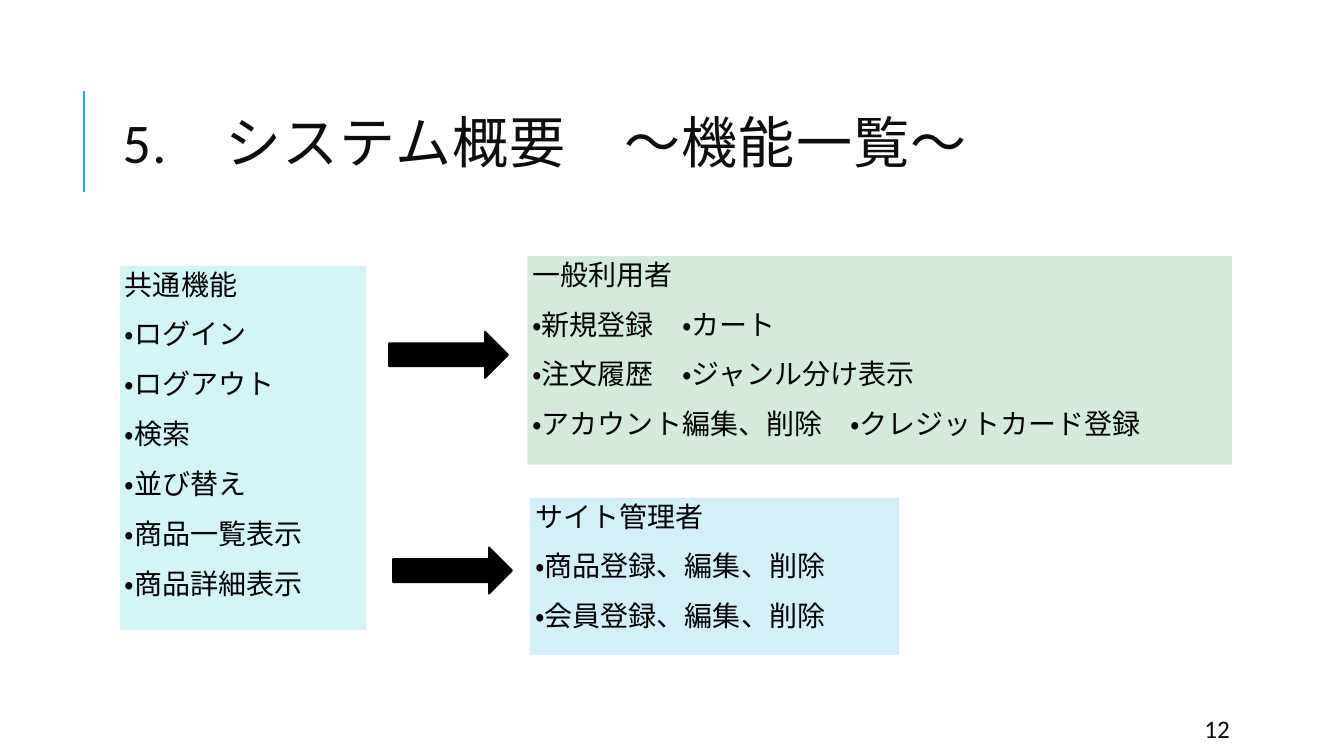
import pptx
import pptx.dml.color
import pptx.enum.lang
import pptx.enum.shapes
import pptx.enum.text
import pptx.util
import lxml.etree

Pt = pptx.util.Pt
SHAPES = pptx.enum.shapes.MSO_SHAPE
MIDDLE = pptx.enum.text.MSO_ANCHOR.MIDDLE
DRAWING_NS = "{http://schemas.openxmlformats.org/drawingml/2006/main}"

COLOURS = {
    "accent": "1CADE4",
    "text": "0D0D0D",
    "black": "000000",
    "common": "D4F5F7",
    "customer": "D4EBDB",
    "admin": "D2EFFA",
}

# Each group: fill, (left, top, width, height), heading, functions line by line
GROUPS = [
    ("common", (85.7, 190, 175.7, 260), "共通機能",
     [["ログイン"], ["ログアウト"], ["検索"], ["並び替え"],
      ["商品一覧表示"], ["商品詳細表示"]]),
    ("customer", (376.6, 182.9, 503.3, 149), "一般利用者",
     [["新規登録", "カート"], ["注文履歴", "ジャンル分け表示"],
      ["アカウント編集、削除", "クレジットカード登録"]]),
    ("admin", (378.7, 355.7, 263.5, 112.3), "サイト管理者",
     [["商品登録、編集、削除"], ["会員登録、編集、削除"]]),
]
ARROW_CORNERS = [(277.9, 236.9), (280.8, 391)]


def colour(name):
    """Return the named colour."""
    return pptx.dml.color.RGBColor.from_string(COLOURS[name])


def add_span(para, text, font, size, colour_name):
    """Add one formatted run and return it."""
    span = para.add_run()
    span.text = text
    span.font.name = font
    span.font.size = Pt(size)
    span.font.color.rgb = colour(colour_name)
    span.font.language_id = pptx.enum.lang.MSO_LANGUAGE_ID.JAPANESE
    return span


def add_label(page, area, text, size, line_spacing=1.0, tracking=0):
    """Add a vertically centred line of text, tracking in points."""
    box = page.shapes.add_textbox(*map(Pt, area))
    box.text_frame.word_wrap = True
    box.text_frame.vertical_anchor = MIDDLE
    para = box.text_frame.paragraphs[0]
    para.line_spacing = line_spacing
    span = add_span(para, text, "Calibri", size, "text")
    if tracking:
        span.font._element.set("spc", str(tracking * 100))


def add_rule(page, x, top, bottom):
    """Add the vertical accent line beside the title."""
    rule = page.shapes.add_connector(
        pptx.enum.shapes.MSO_CONNECTOR.STRAIGHT,
        Pt(x), Pt(bottom), Pt(x), Pt(top))
    rule.line.color.rgb = colour("accent")
    rule.line.width = Pt(1.5)
    lxml.etree.SubElement(rule._element.spPr, DRAWING_NS + "effectLst")


def add_filled(page, preset, area, fill):
    """Add a preset shape with a plain fill, no line and no shadow."""
    shape = page.shapes.add_shape(preset, *map(Pt, area))
    shape.shadow.inherit = False
    shape.fill.solid()
    shape.fill.fore_color.rgb = colour(fill)
    shape.line.fill.background()
    return shape


def add_group(page, fill, area, heading, rows):
    """Add a panel with a heading and its bulleted functions."""
    frame = add_filled(page, SHAPES.RECTANGLE, area, fill).text_frame
    frame.word_wrap = True
    frame.vertical_anchor = pptx.enum.text.MSO_ANCHOR.TOP
    frame.margin_left = frame.margin_right = Pt(3.6)
    frame.margin_top = frame.margin_bottom = Pt(3.6)
    lines = [heading] + ["　".join("・" + name for name in row) for row in rows]
    for index, line in enumerate(lines):
        para = frame.add_paragraph() if index else frame.paragraphs[0]
        para.alignment = pptx.enum.text.PP_ALIGN.LEFT
        para.line_spacing = 0.9
        para.space_before = Pt(12)
        para.space_after = Pt(2)
        add_span(para, line, "Cabin", 20, "black")


def add_arrow(page, left, top):
    """Add a black block arrow pointing right."""
    arrow = add_filled(page, SHAPES.RIGHT_ARROW, (left, top, 85, 33.1), "black")
    arrow.line.color.rgb = colour("black")
    arrow.line.width = Pt(1.25)


def main():
    """Build the function overview slide."""
    deck = pptx.Presentation()
    deck.slide_width, deck.slide_height = Pt(960), Pt(540)
    page = deck.slides.add_slide(deck.slide_layouts[6])
    add_rule(page, 60, 65, 137)
    add_label(page, (80.6, 46.1, 765.4, 118), "5.　システム概要　～機能一覧～", 40,
              line_spacing=0.8, tracking=1)
    for group in GROUPS:
        add_group(page, *group)
    for corner in ARROW_CORNERS:
        add_arrow(page, *corner)
    add_label(page, (853.2, 509.8, 76.3, 21.6), "12", 18)
    deck.save("out.pptx")


main()
